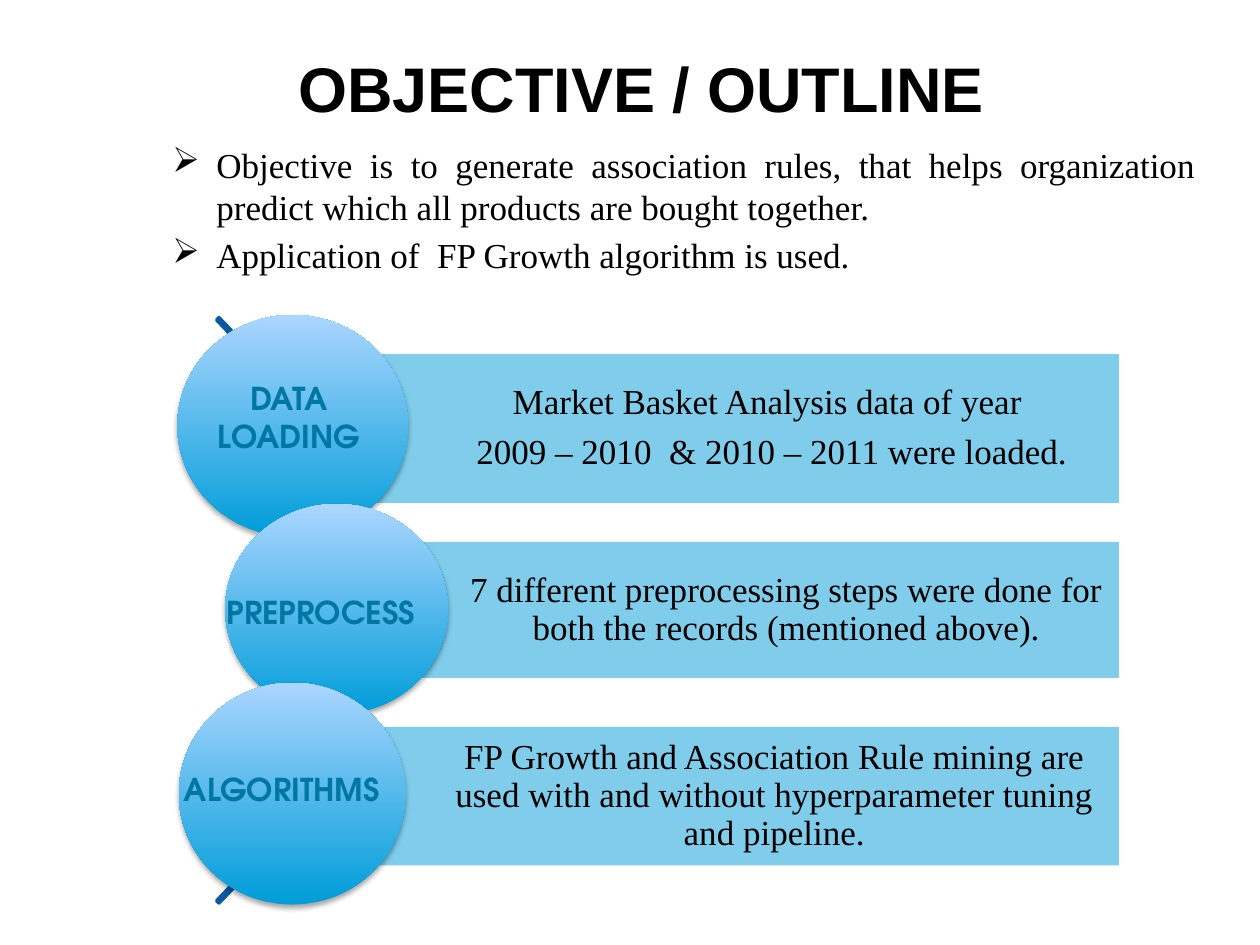
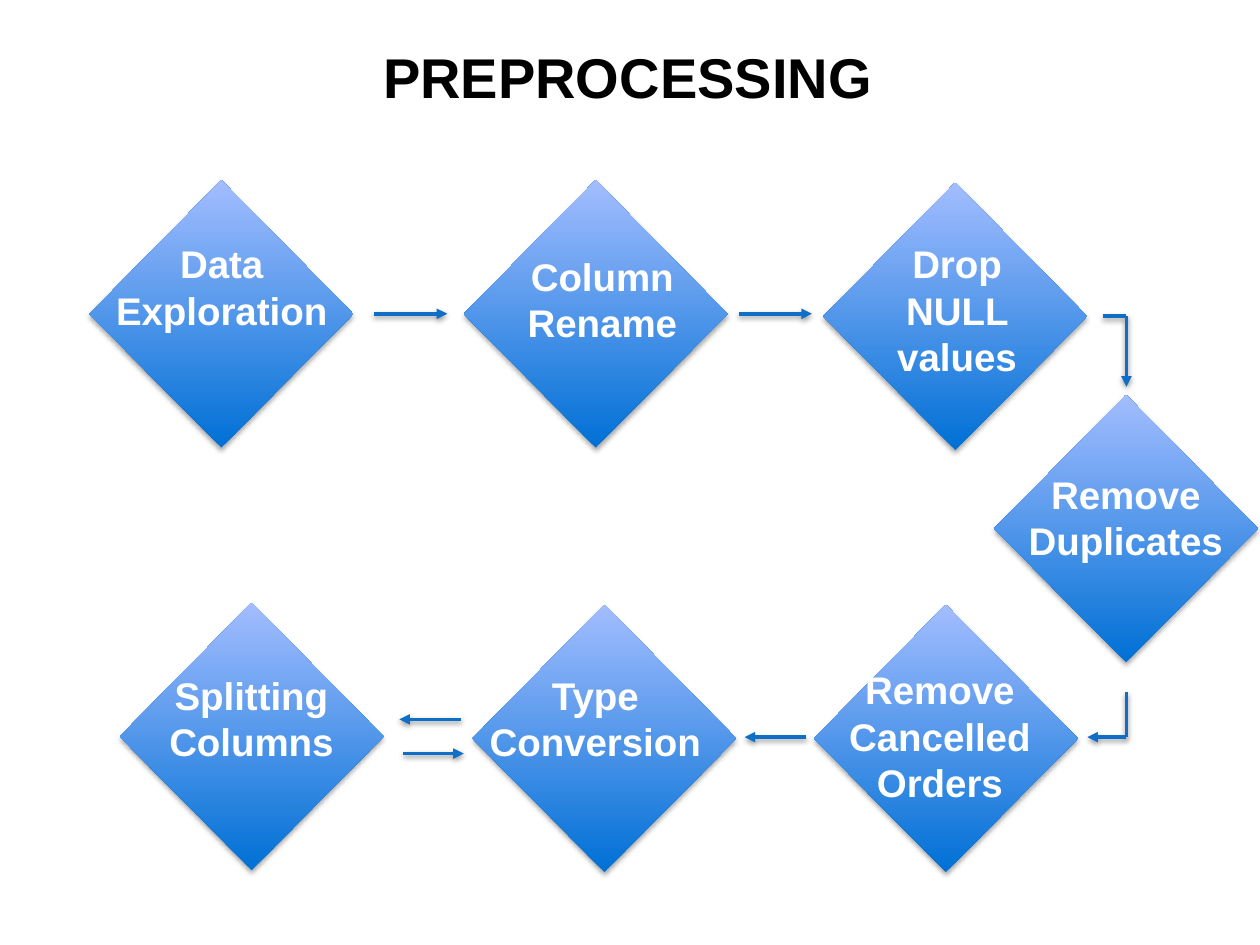
"""Build two slides on market basket analysis: the objective and the preprocessing flow."""
from lxml import etree
from pptx import Presentation
from pptx.dml.color import RGBColor
from pptx.enum import shapes, text
from pptx.oxml.ns import qn
from pptx.util import Pt

COLORS = {
    "black": "000000", "white": "FFFFFF", "panel": "009DD9", "circle_top": "ABD6FF",
    "label": "0076A3", "arc": "0C599F", "diamond": "0070D5", "diamond_top": "A3BDFF",
    "arrow": "0F6FC6",
}
RGB = {name: RGBColor.from_string(value) for name, value in COLORS.items()}
SHAPE = shapes.MSO_SHAPE
ALIGN = text.PP_ALIGN
ANCHOR = text.MSO_ANCHOR


def add_text(s, box, lines, font, size, color, bold=False, align=ALIGN.LEFT,
             anchor=ANCHOR.TOP, insets=(7.2, 3.6, 7.2, 3.6)):
    """Add a wrapped text box and return its text frame."""
    tf = s.shapes.add_textbox(*map(Pt, box)).text_frame
    tf.word_wrap = True
    tf.vertical_anchor = anchor
    tf.margin_left, tf.margin_top, tf.margin_right, tf.margin_bottom = map(Pt, insets)
    tf.text = "\n".join(lines)
    for p in tf.paragraphs:
        p.alignment = align
        for r in p.runs:
            r.font.name, r.font.size, r.font.bold = font, Pt(size), bold
            r.font.color.rgb = RGB[color]
    return tf


def add_glossy(s, kind, box, bottom, top):
    """Add a shape with a vertical gradient and return it."""
    sp = s.shapes.add_shape(kind, *map(Pt, box))
    sp.fill.gradient()
    sp.fill.gradient_angle = 90
    for stop, color in zip(sp.fill.gradient_stops, (bottom, top)):
        stop.color.rgb = RGB[color]
    sp.line.fill.background()
    return sp


prs = Presentation()
prs.slide_width, prs.slide_height = Pt(720), Pt(540)
shadowed = []

titles = [
    ("OBJECTIVE / OUTLINE", 36, (170.6, 10.4, 436.3, 61.2)),
    ("PREPROCESSING", 32, (218.9, -27.4, 329.8, 90)),
]
slides = []
for title, size, box in titles:
    s = prs.slides.add_slide(prs.slide_layouts[6])
    add_text(s, box, [title], "Arial", size, "black", bold=True,
             anchor=ANCHOR.BOTTOM, insets=(0, 3.6, 0, 0))
    slides.append(s)
outline, flow = slides

objectives = [
    "Objective is to generate association rules, that helps organization predict "
    "which all products are bought together.",
    "Application of  FP Growth algorithm is used.",
]
tf = add_text(outline, (80.6, 78.5, 609.8, 106.6), objectives, "Times New Roman", 20,
              "black", align=ALIGN.JUSTIFY)
for p in tf.paragraphs:
    p.space_before = Pt(3.6)
    pPr = p._p.get_or_add_pPr()
    pPr.set("marL", str(Pt(36)))
    pPr.set("indent", str(Pt(-25.2)))
    etree.SubElement(pPr, qn("a:buFont"), typeface="Wingdings", pitchFamily="2", charset="2")
    etree.SubElement(pPr, qn("a:buChar"), char="Ø")

arc = outline.shapes.add_shape(SHAPE.BLOCK_ARC, Pt(-278.6), Pt(112.3), Pt(473), Pt(473))
for i, value in enumerate((189, 27, 0.004)):
    arc.adjustments[i] = value
arc.fill.background()
arc.line.color.rgb = RGB["arc"]
arc.line.width = Pt(2)
arc.shadow.inherit = False

PANEL_RIGHT = 639.4
steps = [
    ("DATA LOADING", (109.4, 213.1, 111.6, 53.3), ALIGN.CENTER,
     (101.4, 180, 131.8, 126.7), (191.5, 202.3, 85),
     ["Market Basket Analysis data of year ", "2009 – 2010  & 2010 – 2011 were loaded."]),
    ("PREPROCESS", (122.4, 335.5, 151.9, 28.8), ALIGN.LEFT,
     (128.7, 288, 127.4, 120.2), (208.1, 309.6, 77.8),
     ["7 different preprocessing steps were done for both the records (mentioned above)."]),
    ("ALGORITHMS", (97.9, 436.3, 145.4, 28.8), ALIGN.LEFT,
     (102.2, 390.2, 129.6, 126.7), (194.4, 415.4, 79.2),
     ["FP Growth and Association Rule mining are used with and without "
      "hyperparameter tuning and pipeline."]),
]
for label, label_box, align, circle, (left, top, height), lines in steps:
    box = (left, top, PANEL_RIGHT - left, height)
    panel = outline.shapes.add_shape(SHAPE.RECTANGLE, *map(Pt, box))
    panel.fill.solid()
    panel.fill.fore_color.rgb = RGB["panel"]
    panel.line.fill.background()
    panel.shadow.inherit = False
    tint = panel._element.spPr.find(".//" + qn("a:srgbClr"))
    etree.SubElement(tint, qn("a:alpha"), val="50000")
    tf = add_text(outline, box, lines, "Times New Roman", 20, "black", align=ALIGN.CENTER,
                  anchor=ANCHOR.MIDDLE, insets=(55.4, 4.3, 4.3, 4.3))
    for p in tf.paragraphs:
        p.line_spacing = 0.9
        p.space_after = Pt(7)
    sp = add_glossy(outline, SHAPE.OVAL, circle, "panel", "circle_top")
    shadowed.append((sp, 1.8, 35))
    add_text(outline, label_box, [label], "TeX Gyre Adventor", 18, "label", bold=True,
             align=align)

DIAMOND = (150.8, 152.8)
stages = [
    ("Data Exploration", (51.1, 103), (48.2, 133.9, 157)),
    ("Column Rename", (265, 103), (265.7, 141.1, 157)),
    ("Drop NULL values", (470.5, 104.4), (484.6, 133.9, 124.6)),
    ("Remove Duplicates", (568.1, 225.7), (575.3, 265.7, 136.1)),
    ("Remove Cancelled Orders", (465.1, 345.6), (472.3, 377.3, 129.6)),
    ("Type Conversion", (270, 345.6), (270.7, 380.2, 139)),
    ("Splitting Columns", (68.4, 344.5), (74.2, 380.2, 139)),
]
for label, corner, (left, top, width) in stages:
    sp = add_glossy(flow, SHAPE.DIAMOND, corner + DIAMOND, "diamond", "diamond_top")
    shadowed.append((sp, 1.8, 35))
    add_text(flow, (left, top, width, 60.5), [label], "Arial", 22, "white", bold=True,
             align=ALIGN.CENTER)

arrows = [
    ((213.8, 179.3), (255.6, 179.3), True),
    ((422.3, 179.3), (464, 179.3), True),
    ((630, 180.7), (643.7, 180.7), False),
    ((643.7, 180.7), (643.7, 221), True),
    ((643.7, 395.3), (643.7, 421.2), False),
    ((643.7, 421.2), (621.4, 421.2), True),
    ((460.8, 421.2), (425.5, 421.2), True),
    ((263.5, 411.1), (228.2, 411.1), True),
    ((230.4, 430.6), (265, 430.6), True),
]
for start, end, has_head in arrows:
    line = flow.shapes.add_connector(shapes.MSO_CONNECTOR.STRAIGHT, *map(Pt, start + end))
    line.line.color.rgb = RGB["arrow"]
    line.line.width = Pt(2)
    if has_head:
        ln = line._element.spPr.find(qn("a:ln"))
        etree.SubElement(ln, qn("a:tailEnd"), type="triangle")
    shadowed.append((line, 1.6, 38))

for sp, distance, opacity in shadowed:
    effects = etree.SubElement(sp._element.spPr, qn("a:effectLst"))
    shadow = etree.SubElement(effects, qn("a:outerShdw"), blurRad=str(Pt(3.1)),
                              dist=str(Pt(distance)), dir="5400000", rotWithShape="0")
    shade = etree.SubElement(shadow, qn("a:srgbClr"), val=COLORS["black"])
    etree.SubElement(shade, qn("a:alpha"), val=str(opacity * 1000))

prs.save("out.pptx")
